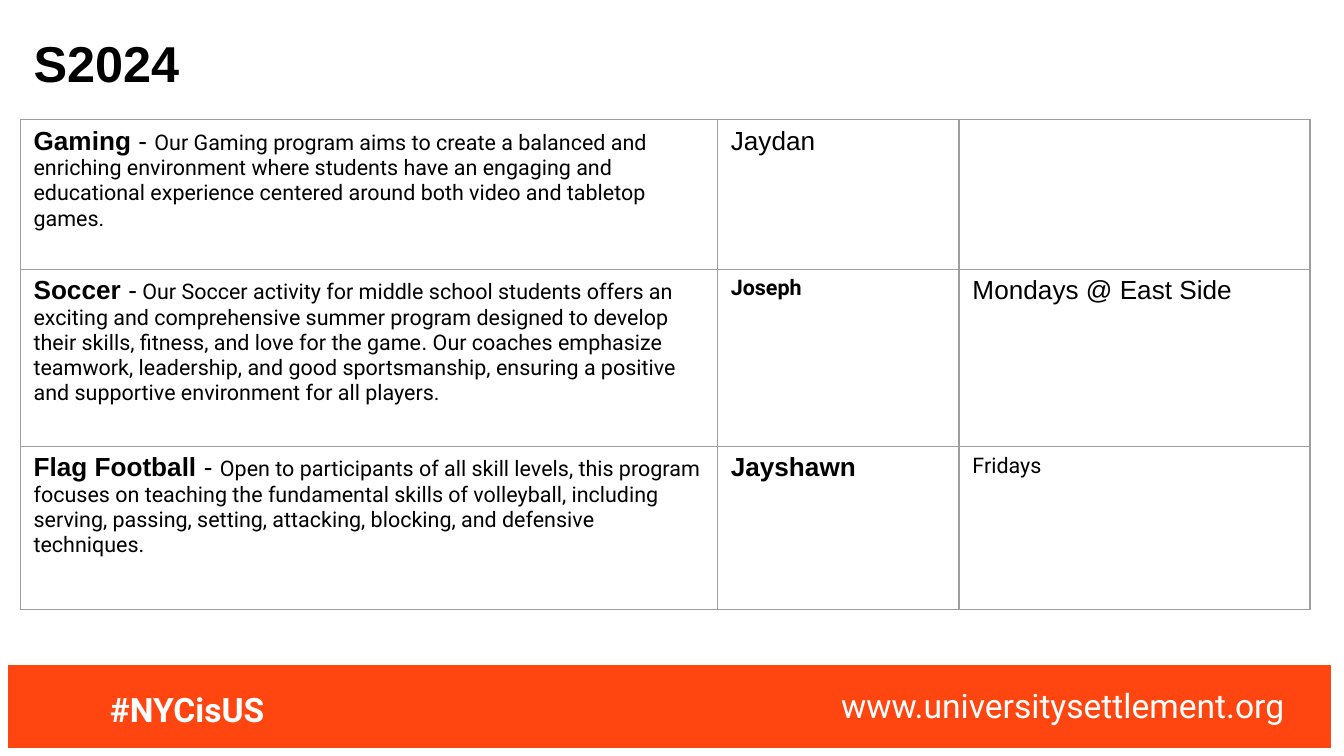
from lxml import etree
from pptx import Presentation
from pptx.dml.color import RGBColor
from pptx.enum.shapes import MSO_SHAPE
from pptx.enum.text import MSO_ANCHOR, PP_ALIGN
from pptx.oxml.ns import qn
from pptx.util import Pt

BLACK = RGBColor(0x00, 0x00, 0x00)
WHITE = RGBColor(0xFF, 0xFF, 0xFF)
ORANGE = RGBColor(0xFF, 0x46, 0x11)
GRID_GREY = RGBColor(0x9E, 0x9E, 0x9E)
RECTANGLE = MSO_SHAPE.RECTANGLE
MIDDLE = MSO_ANCHOR.MIDDLE
LEFT = PP_ALIGN.LEFT

# Run styles: font, size, bold
HEAD = ("Arial", 14, True)
PLAIN = ("Arial", 14, False)
BODY = ("Roboto", 11.5, False)
BODY_BOLD = ("Roboto", 11.5, True)
STOP = ("Arial", 11.5, False)


def add_run(paragraph, text, style, color):
    run = paragraph.add_run()
    run.text = text
    run.font.name, size, run.font.bold = style
    run.font.size = Pt(size)
    run.font.color.rgb = color


def add_borders(cell):
    properties = cell._tc.get_or_add_tcPr()
    for position, side in enumerate(("a:lnL", "a:lnR", "a:lnT", "a:lnB")):
        line = etree.Element(qn(side), w=str(Pt(0.75)))
        fill = etree.SubElement(line, qn("a:solidFill"))
        etree.SubElement(fill, qn("a:srgbClr"), val=str(GRID_GREY))
        properties.insert(position, line)


prs = Presentation()
prs.slide_width, prs.slide_height = Pt(720), Pt(405)
slide = prs.slides.add_slide(prs.slide_layouts[5])

# Title
title = slide.shapes.title
title.left, title.top, title.width, title.height = Pt(10.8), Pt(10.8), Pt(420), Pt(45.4)
title_frame = title.text_frame
title_frame.vertical_anchor = MIDDLE
title_frame.margin_left = title_frame.margin_right = Pt(7.2)
title_frame.margin_top = title_frame.margin_bottom = Pt(7.2)
title_frame.paragraphs[0].alignment = LEFT
add_run(title_frame.paragraphs[0], "S2024", ("Arial", 27, True), BLACK)

# Footer bar
footer_bar = slide.shapes.add_shape(RECTANGLE, Pt(1.8), Pt(353.9), Pt(713.5), Pt(49))
footer_bar.shadow.inherit = False
footer_bar.fill.solid()
footer_bar.fill.fore_color.rgb = ORANGE
footer_bar.line.color.rgb = WHITE
footer_bar.line.width = Pt(4.5)

# Footer texts
footer_texts = [
    ("#NYCisUS", 51.8, 365.8, 175.7, True),
    ("www.universitysettlement.org", 443.5, 363.6, 276.5, False),
]
for text, left, top, width, bold in footer_texts:
    label = slide.shapes.add_textbox(Pt(left), Pt(top), Pt(width), Pt(28.8))
    label.text_frame.word_wrap = True
    add_run(label.text_frame.paragraphs[0], text, ("Roboto", 18, bold), WHITE)

# Programs: description, leader, schedule
programs = [
    (
        [("Gaming", HEAD), (" - ", PLAIN),
         ("Our Gaming program aims to create a balanced and enriching environment "
          "where students have an engaging and educational experience centered "
          "around both video and tabletop games.", BODY)],
        [("Jaydan", PLAIN)],
        [],
    ),
    (
        [("Soccer", HEAD), (" -", PLAIN),
         (" Our Soccer activity for middle school students offers an exciting and "
          "comprehensive summer program designed to develop their skills, fitness, "
          "and love for the game", BODY),
         (".", STOP),
         (" Our coaches emphasize teamwork, leadership, and good sportsmanship, "
          "ensuring a positive and supportive environment for all players.", BODY)],
        [("Joseph", BODY_BOLD)],
        [("Mondays @ East Side", PLAIN)],
    ),
    (
        [("Flag Football ", HEAD), ("- ", PLAIN),
         ("Open to participants of all skill levels, this program focuses on "
          "teaching the fundamental skills of volleyball, including serving, "
          "passing, setting, attacking, blocking, and defensive techniques.", BODY)],
        [("Jayshawn", HEAD)],
        [("Fridays", BODY)],
    ),
]
column_widths = [373.5, 129.5, 188]
row_heights = [80, 95, 87.5]

# Program table
program_table = slide.shapes.add_table(
    len(row_heights), len(column_widths), Pt(10.8), Pt(64.2),
    Pt(sum(column_widths)), Pt(sum(row_heights))).table
program_table.first_row = False
program_table.horz_banding = False
for column, width in zip(program_table.columns, column_widths):
    column.width = Pt(width)
for row, height, program in zip(program_table.rows, row_heights, programs):
    row.height = Pt(height)
    for cell, runs in zip(row.cells, program):
        cell.fill.background()
        add_borders(cell)
        for text, style in runs:
            add_run(cell.text_frame.paragraphs[0], text, style, BLACK)

prs.save("out.pptx")
